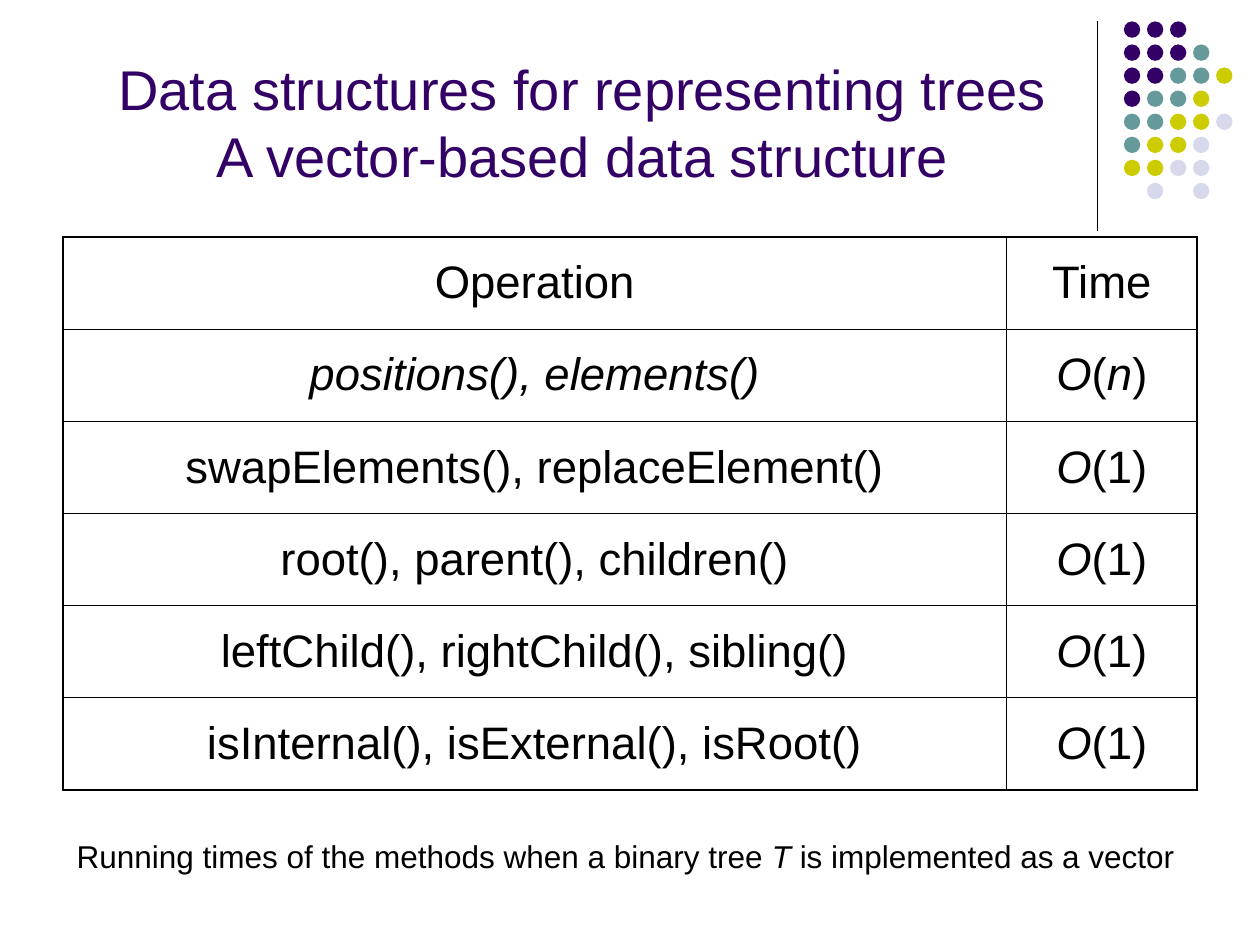
"""Build the slide on running times of a vector-based tree."""
from dataclasses import dataclass

from lxml.etree import SubElement
from pptx import Presentation
from pptx.dml.color import RGBColor
from pptx.enum.shapes import MSO_CONNECTOR, MSO_SHAPE
from pptx.enum.text import MSO_ANCHOR, MSO_AUTO_SIZE, PP_ALIGN
from pptx.oxml.ns import qn
from pptx.slide import Slide
from pptx.table import _Cell
from pptx.text.text import _Paragraph
from pptx.util import Inches, Pt


@dataclass(frozen=True)
class Theme:
    font: str = "Arial"
    title: str = "330066"
    ink: str = "000000"
    title_size: float = 32
    cell_size: float = 26
    note_size: float = 18
    rule: float = 0.75
    outer: float = 1.08
    inner: float = 0.45


@dataclass(frozen=True)
class Span:
    text: str
    italic: bool = False


@dataclass(frozen=True)
class Operation:
    name: Span
    time: tuple[Span, ...]


THEME = Theme()
CONSTANT = (Span("O", True), Span("(1)"))
LINEAR = (Span("O", True), Span("("), Span("n", True), Span(")"))
OPERATIONS = (
    Operation(Span("Operation"), (Span("Time"),)),
    Operation(Span("positions(), elements()", True), LINEAR),
    Operation(Span("swapElements(), replaceElement()"), CONSTANT),
    Operation(Span("root(), parent(), children()"), CONSTANT),
    Operation(Span("leftChild(), rightChild(), sibling()"), CONSTANT),
    Operation(Span("isInternal(), isExternal(), isRoot()"), CONSTANT),
)
DOT_COLORS = {"P": "330066", "T": "669999", "Y": "CCCC00", "L": "D8D8EC"}
DOT_ROWS = ("PPP", "PPPT", "PPTTY", "PTTY", "TTYYL", "TYYL", "YYLL", " L L")


def style(p: _Paragraph, size: float, color: str) -> None:
    """Set the font of a whole paragraph."""
    p.font.name = THEME.font
    p.font.size = Pt(size)
    p.font.color.rgb = RGBColor.from_string(color)


def write(p: _Paragraph, spans: tuple[Span, ...], size: float) -> None:
    """Fill a paragraph with upright and italic runs."""
    style(p, size, THEME.ink)
    for span in spans:
        r = p.add_run()
        r.text = span.text
        if span.italic:
            r.font.italic = True


def add_title(s: Slide, lines: tuple[str, ...]) -> None:
    """Place the title with one line break between its lines."""
    sp = s.shapes.title
    sp.left, sp.top = Inches(0.5), Inches(0.13)
    sp.width, sp.height = Inches(8.25), Inches(1.42)
    tf = sp.text_frame
    tf.auto_size = MSO_AUTO_SIZE.NONE
    tf.vertical_anchor = MSO_ANCHOR.BOTTOM
    p = tf.paragraphs[0]
    p.alignment = PP_ALIGN.CENTER
    style(p, THEME.title_size, THEME.title)
    for i, line in enumerate(lines):
        if i:
            p.add_line_break()
        p.add_run().text = line


def add_rule(s: Slide) -> None:
    """Draw the upright line beside the title."""
    x = Inches(8.71)
    cx = s.shapes.add_connector(MSO_CONNECTOR.STRAIGHT, x, Inches(0.17), x, Inches(1.83))
    cx.line.color.rgb = RGBColor.from_string(THEME.ink)
    cx.line.width = Pt(THEME.rule)
    SubElement(cx._element.spPr, qn("a:effectLst"))


def add_dots(s: Slide) -> None:
    """Draw the grouped grid of coloured dots."""
    group = s.shapes.add_group_shape()
    pitch, size = 0.183, Inches(0.13)
    for row, keys in enumerate(DOT_ROWS):
        for col, key in enumerate(keys):
            if key not in DOT_COLORS:
                continue
            sp = group.shapes.add_shape(MSO_SHAPE.OVAL, Inches(8.92 + col * pitch),
                                        Inches(0.17 + row * pitch), size, size)
            sp.shadow.inherit = False
            sp.fill.solid()
            sp.fill.fore_color.rgb = RGBColor.from_string(DOT_COLORS[key])
            sp.line.fill.background()


def set_borders(cell: _Cell, outer: dict[str, bool]) -> None:
    """Give each side of a cell its outer or inner line."""
    tc_pr = cell._tc.get_or_add_tcPr()
    for side, is_outer in outer.items():
        width = Pt(THEME.outer if is_outer else THEME.inner)
        ln = SubElement(tc_pr, qn(f"a:ln{side}"), w=str(width))
        SubElement(SubElement(ln, qn("a:solidFill")), qn("a:srgbClr"), val=THEME.ink)


def add_operations(s: Slide) -> None:
    """Draw the table of operations and their running times."""
    n = len(OPERATIONS)
    table = s.shapes.add_table(n, 2, Inches(0.5), Inches(1.88), Inches(9), Inches(4.39)).table
    table.first_row = table.horz_banding = False
    table.columns[0].width, table.columns[1].width = Inches(7.49), Inches(1.51)
    for row, op in enumerate(OPERATIONS):
        for col, spans in enumerate(((op.name,), op.time)):
            cell = table.cell(row, col)
            set_borders(cell, {"L": col == 0, "R": col == 1, "T": row == 0, "B": row == n - 1})
            cell.fill.background()
            cell.vertical_anchor = MSO_ANCHOR.MIDDLE
            p = cell.text_frame.paragraphs[0]
            p.alignment = PP_ALIGN.CENTER
            write(p, spans, THEME.cell_size)


def add_note(s: Slide, spans: tuple[Span, ...]) -> None:
    """Place the one-line note under the table."""
    tf = s.shapes.add_textbox(Inches(0.51), Inches(6.59), Inches(8.91), Inches(0.4)).text_frame
    tf.word_wrap = False
    tf.auto_size = MSO_AUTO_SIZE.SHAPE_TO_FIT_TEXT
    write(tf.paragraphs[0], spans, THEME.note_size)


def main() -> None:
    """Build and save the presentation."""
    prs = Presentation()
    prs.slide_width, prs.slide_height = Inches(10), Inches(7.5)
    s = prs.slides.add_slide(prs.slide_layouts[5])
    add_rule(s)
    add_dots(s)
    add_title(s, ("Data structures for representing trees", "A vector-based data structure"))
    add_operations(s)
    add_note(s, (Span("Running times of the methods when a binary tree "),
                 Span("T ", True), Span("is implemented as a vector")))
    prs.save("out.pptx")


if __name__ == "__main__":
    main()
